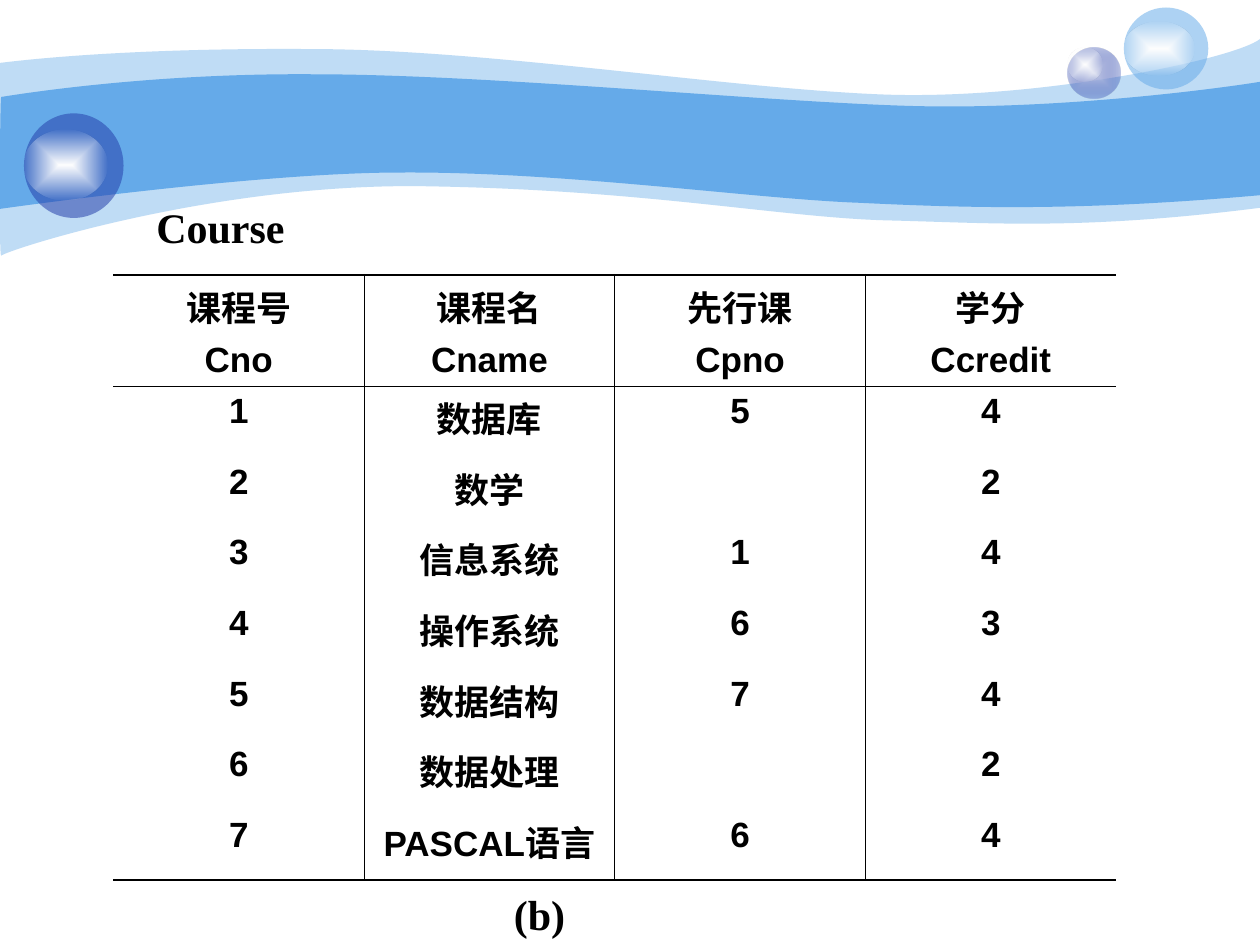
"""Build the Course relation slide: a wave banner, a course table and its label."""
from lxml import etree
from pptx import Presentation
from pptx.dml.color import RGBColor
from pptx.enum.shapes import MSO_SHAPE
from pptx.enum.text import MSO_ANCHOR, MSO_AUTO_SIZE, PP_ALIGN
from pptx.oxml.ns import qn
from pptx.util import Inches, Pt

OVAL = MSO_SHAPE.OVAL
TOP = MSO_ANCHOR.TOP
NO_AUTOFIT = MSO_AUTO_SIZE.NONE
LEFT, CENTER = PP_ALIGN.LEFT, PP_ALIGN.CENTER

THEME = {
    "ink": "000000", "sky": "65AAE9", "navy": "233DA9", "mist": "C6CCE8",
    "white": "FFFFFF", "glow_edge": "FEFEFE",
    "label_font": "Times New Roman", "label_size": 24,
    "table_font": "Arial", "table_size": 20, "line_gap": 5,
    "rule": 1.08, "hairline": 0.45,
}

TITLE, TITLE_BOX = "Course", (1.14, 1.55, 1.22, 0.5)
FIGURE_LABEL, FIGURE_LABEL_BOX = "(b)", (3.98, 7, 0.61, 0.5)
COURSES = [
    ("课程号\nCno", "课程名\nCname", "先行课\nCpno", "学分\nCcredit"),
    ("1", "数据库", "5", "4"),
    ("2", "数学", "", "2"),
    ("3", "信息系统", "1", "4"),
    ("4", "操作系统", "6", "3"),
    ("5", "数据结构", "7", "4"),
    ("6", "数据处理", "", "2"),
    ("7", "PASCAL语言", "6", "4"),
]
TABLE_BOX = (0.9, 2.18, 7.96, 4.76)
HEADER_HEIGHT, COURSE_HEIGHT = 0.84, 0.56

WAVES = [
    {"opacity": 41, "start": (0, 0.5), "steps": [
        [(0.24, 0.47), (1.07, 0.38), (2.47, 0.39)],
        [(3.86, 0.39), (5.75, 0.7), (6.99, 0.75)],
        [(8.22, 0.8), (9.8, 0.47), (10, 0.31)],
        [(10, 1.65)],
        [(8.58, 1.83), (7.87, 1.77), (7.05, 1.75)],
        [(6.22, 1.73), (5.15, 1.51), (3.43, 1.48)],
        [(1.72, 1.44), (0.04, 1.99), (0.01, 2.03)],
        [(-0.01, 2.08), (0, 0.75), (0, 0.5)]]},
    {"opacity": 100, "start": (0.01, 0.77), "steps": [
        [(0.02, 0.77), (1.1, 0.58), (2.48, 0.59)],
        [(3.86, 0.59), (5.95, 0.8), (7.18, 0.84)],
        [(8.41, 0.88), (9.76, 0.69), (10, 0.65)],
        [(10, 1.55)],
        [(8.53, 1.68), (7.65, 1.65), (6.82, 1.61)],
        [(5.99, 1.58), (4.47, 1.36), (3.17, 1.37)],
        [(2.03, 1.37), (-0.02, 1.66), (-0.01, 1.66)],
        [(0, 1.66), (0, 0.77), (0.01, 0.77)]]},
]

GLOW = [("white", 100), ("glow_edge", 0)]
ORBS = [
    {"ball": (8.47, 0.38, 0.42, 0.4), "fill": [("mist", 100), ("navy", 31)],
     "glow": (8.47, 0.38, 0.28, 0.27)},
    {"ball": (8.92, 0.06, 0.67, 0.65), "fill": [("sky", 53)],
     "glow": (8.92, 0.17, 0.56, 0.43)},
    {"ball": (0.19, 0.9, 0.79, 0.83), "fill": [("navy", 53)],
     "glow": (0.19, 1.03, 0.66, 0.56)},
]


def inches(values):
    return [Inches(value) for value in values]


def add_color(parent, name, opacity=100):
    color = etree.SubElement(parent, qn("a:srgbClr"), val=THEME[name])
    if opacity < 100:
        etree.SubElement(color, qn("a:alpha"), val=str(opacity * 1000))


def paint(shape, stops):
    shape.shadow.inherit = False
    shape.line.fill.background()
    shape.fill.background()
    properties = shape.element.spPr
    if len(stops) == 1:
        fill = etree.Element(qn("a:solidFill"))
        add_color(fill, *stops[0])
    else:
        fill = etree.Element(qn("a:gradFill"), rotWithShape="1")
        stop_list = etree.SubElement(fill, qn("a:gsLst"))
        for index, stop in enumerate(stops):
            position = str(100000 * index // (len(stops) - 1))
            add_color(etree.SubElement(stop_list, qn("a:gs"), pos=position), *stop)
        spread = etree.SubElement(fill, qn("a:path"), {"path": "rect"})
        center = dict.fromkeys("ltrb", "50000")
        etree.SubElement(spread, qn("a:fillToRect"), center)
    properties.replace(properties.find(qn("a:noFill")), fill)


def bend_lines(shape, steps):
    lines = iter(list(shape.element.iter(qn("a:lnTo"))))
    for step in steps:
        legs = [next(lines) for _ in step]
        if len(legs) == 3:
            curve = etree.Element(qn("a:cubicBezTo"))
            legs[0].addprevious(curve)
            for leg in legs:
                curve.append(leg[0])
                leg.getparent().remove(leg)


def add_wave(slide, wave):
    outline = slide.shapes.build_freeform(*inches(wave["start"]))
    points = [inches(point) for step in wave["steps"] for point in step]
    outline.add_line_segments(points, close=True)
    shape = outline.convert_to_shape()
    bend_lines(shape, wave["steps"])
    paint(shape, [("sky", wave["opacity"])])


def add_orb(slide, orb):
    group = slide.shapes.add_group_shape()
    for box, stops in ((orb["ball"], orb["fill"]), (orb["glow"], GLOW)):
        paint(group.shapes.add_shape(OVAL, *inches(box)), stops)


def style_font(paragraph, kind):
    for run in paragraph.runs:
        run.font.name = THEME[kind + "_font"]
        run.font.size = Pt(THEME[kind + "_size"])
        run.font.bold = True
        run.font.color.rgb = RGBColor.from_string(THEME["ink"])


def set_label(label, text, box):
    label.left, label.top, label.width, label.height = inches(box)
    frame = label.text_frame
    frame.text = text
    frame.word_wrap = False
    frame.auto_size = NO_AUTOFIT
    frame.vertical_anchor = TOP
    frame.paragraphs[0].alignment = LEFT
    style_font(frame.paragraphs[0], "label")


def set_borders(cell, widths):
    properties = cell._tc.get_or_add_tcPr()
    for side, width in zip("LRTB", widths):
        border = etree.SubElement(properties, qn("a:ln" + side), w=str(Pt(width)))
        fill = etree.SubElement(border, qn("a:solidFill" if width else "a:noFill"))
        if width:
            add_color(fill, "ink")


def add_course_table(slide):
    rows, columns = len(COURSES), len(COURSES[0])
    table = slide.shapes.add_table(rows, columns, *inches(TABLE_BOX)).table
    table.first_row = table.horz_banding = False
    rule, hairline = THEME["rule"], THEME["hairline"]
    levels = [rule, hairline] + [0] * (rows - 2) + [rule]
    dividers = [0] + [hairline] * (columns - 1) + [0]
    for row, course in enumerate(COURSES):
        table.rows[row].height = Inches(COURSE_HEIGHT if row else HEADER_HEIGHT)
        for column, text in enumerate(course):
            cell = table.cell(row, column)
            set_borders(cell, dividers[column:column + 2] + levels[row:row + 2])
            cell.fill.background()
            cell.text_frame.text = text
            for index, paragraph in enumerate(cell.text_frame.paragraphs):
                paragraph.alignment = CENTER
                if index:
                    paragraph.space_before = Pt(THEME["line_gap"])
                style_font(paragraph, "table")


def main():
    deck = Presentation()
    deck.slide_width, deck.slide_height = Inches(10), Inches(7.5)
    slide = deck.slides.add_slide(deck.slide_layouts[5])
    for wave in WAVES:
        add_wave(slide, wave)
    for orb in ORBS:
        add_orb(slide, orb)
    add_course_table(slide)
    title = slide.shapes.title
    title.element.getparent().append(title.element)
    set_label(title, TITLE, TITLE_BOX)
    figure_label = slide.shapes.add_textbox(*inches(FIGURE_LABEL_BOX))
    set_label(figure_label, FIGURE_LABEL, FIGURE_LABEL_BOX)
    deck.save("out.pptx")


if __name__ == "__main__":
    main()
